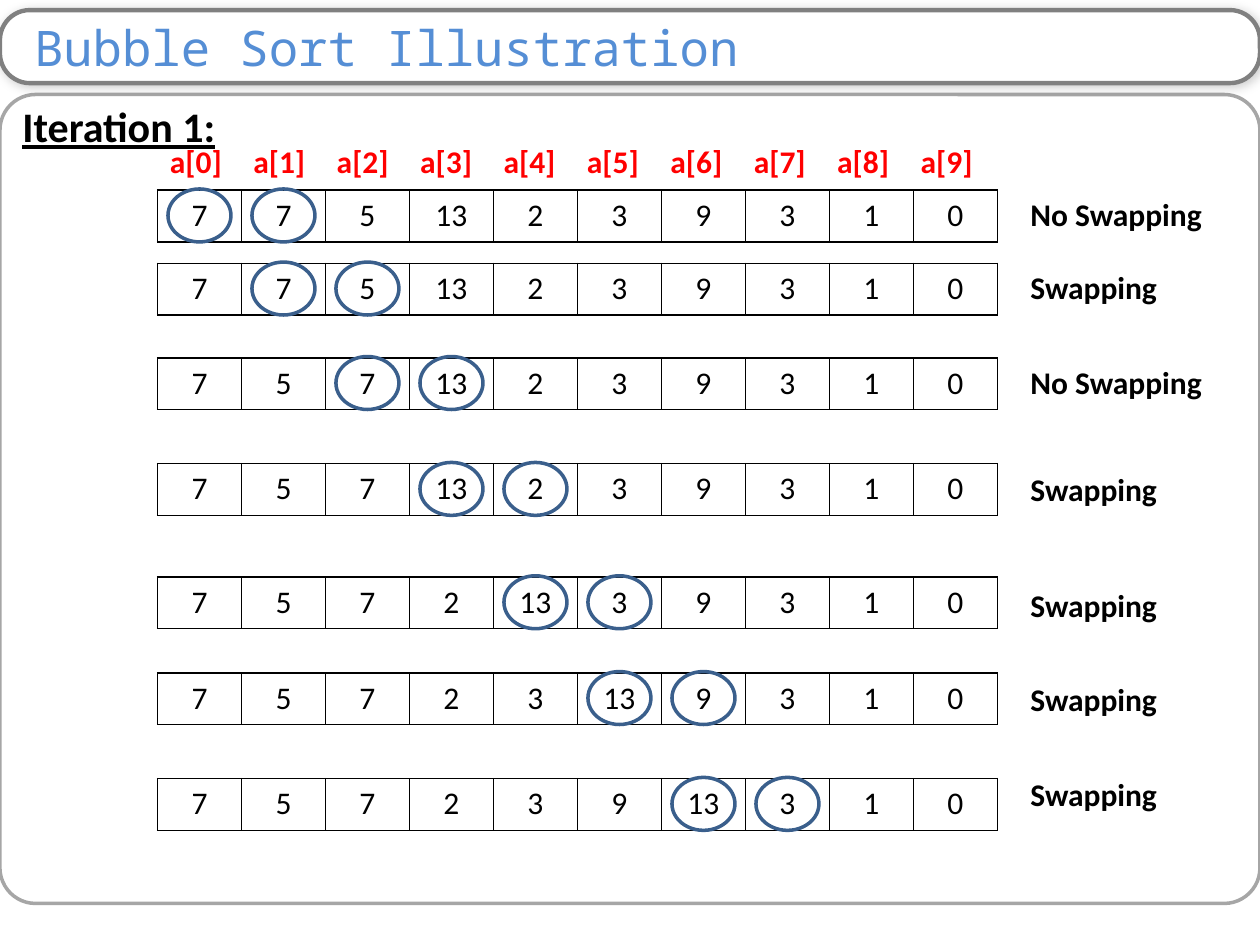
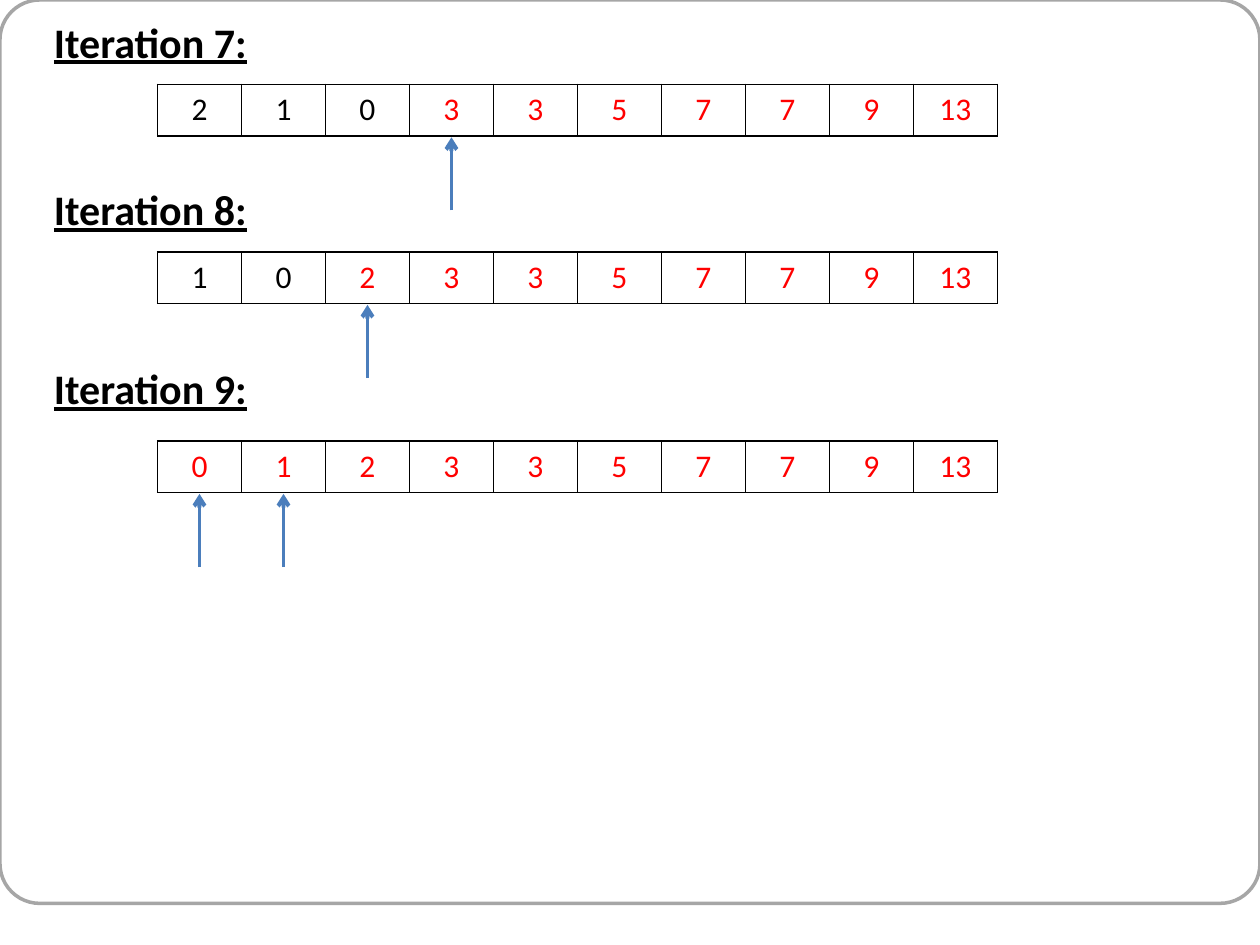
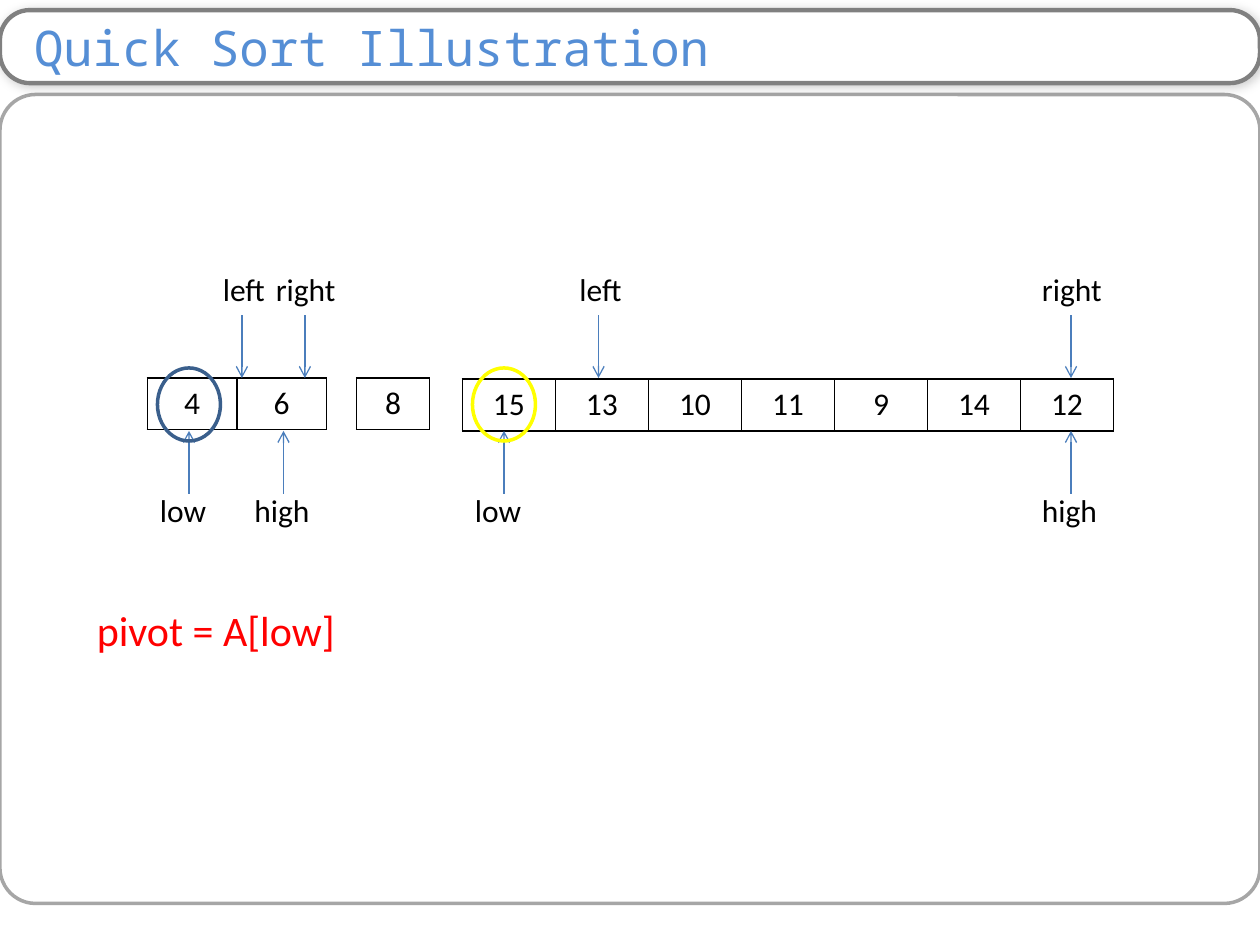
from lxml import etree
from pptx import Presentation
from pptx.dml.color import RGBColor
from pptx.enum import shapes, text
from pptx.oxml import ns
from pptx.util import Inches, Pt

COLORS = {
    "black": "000000", "white": "FFFFFF", "red": "FF0000", "yellow": "FFFF00",
    "title": "558ED5", "ring": "3A5F8C", "arrow": "4B7EBC",
    "panel": "A6A6A6", "band": "808080",
}
FONT, MONO = "Calibri", "Noto Sans Mono"
LEFT, WIDTH, HEIGHT = 1.25, 20 / 3, 0.41
STEP = WIDTH / 10


def color(name):
    """Return the named colour."""
    return RGBColor.from_string(COLORS[name])


def node(parent, tag, **attrs):
    """Append a drawing element to a parent."""
    return etree.SubElement(parent, ns.qn("a:" + tag), attrs)


def write(frame, words, size=18, font=FONT, fill="black", bold=False,
          under=False, align=text.PP_ALIGN.LEFT):
    """Write one formatted paragraph into a text frame."""
    para = frame.paragraphs[0]
    para.alignment = align
    run = para.add_run()
    run.text = words
    face = run.font
    face.size, face.name, face.bold, face.underline = Pt(size), font, bold, under
    face.color.rgb = color(fill)
    return para


def label(slide, words, x, y, w, h=0.4, **style):
    """Place a line of text and return its paragraph."""
    box = slide.shapes.add_textbox(Inches(x), Inches(y), Inches(w), Inches(h))
    box.text_frame.word_wrap = True
    return write(box.text_frame, words, **style)


def outline(slide, kind, x, y, w, h, line, weight=2):
    """Draw an unfilled preset shape."""
    shape = slide.shapes.add_shape(kind, Inches(x), Inches(y), Inches(w), Inches(h))
    shape.shadow.inherit = False
    shape.fill.background()
    shape.line.color.rgb = color(line)
    shape.line.width = Pt(weight)
    return shape


def panel(slide, top):
    """Draw the rounded frame from a top edge down to the shared bottom."""
    shape = outline(slide, shapes.MSO_SHAPE.ROUNDED_RECTANGLE,
                    0, top, 10, 7.17 - top, "panel")
    shape.adjustments[0] = 0.044


def header(slide, words):
    """Draw the shadowed title band and set the title on it."""
    x, y, w, h = 0, 0.08, 10, 0.58
    band = outline(slide, shapes.MSO_SHAPE.ROUNDED_RECTANGLE, x, y, w, h, "band", 2.5)
    band.adjustments[0] = 0.409
    band.fill.solid()
    band.fill.fore_color.rgb = color("white")
    effects = band.element.spPr.find(ns.qn("a:effectLst"))
    shade = node(effects, "outerShdw", blurRad=str(Pt(6)), dist=str(Pt(1)),
                 dir="2700000", rotWithShape="0")
    node(node(shade, "srgbClr", val=COLORS["black"]), "alpha", val="20000")
    title = slide.shapes.title
    title.left, title.top, title.width, title.height = map(Inches, (x, y, w, h))
    frame = title.text_frame
    frame.auto_size = text.MSO_AUTO_SIZE.NONE
    frame.vertical_anchor = text.MSO_ANCHOR.MIDDLE
    frame.margin_left, frame.margin_right = Inches(0.27), Inches(0.1)
    frame.margin_top = frame.margin_bottom = 0
    write(frame, words, size=28, font=MONO, fill="title")
    band.element.addnext(title.element)


def border(cell):
    """Give a clear cell thin black edges."""
    cell.fill.background()
    props = cell._tc.get_or_add_tcPr()
    for spot, side in enumerate(("lnL", "lnR", "lnT", "lnB")):
        edge = node(props, side, w=str(Pt(1)))
        node(node(edge, "solidFill"), "srgbClr", val=COLORS["black"])
        props.insert(spot, edge)


def array(slide, values, y, x=LEFT, w=WIDTH, done=None):
    """Draw an array as a one-row table, red from the index done on."""
    values = values.split()
    done = len(values) if done is None else done
    table = slide.shapes.add_table(1, len(values), Inches(x), Inches(y),
                                   Inches(w), Inches(HEIGHT)).table
    table.first_row = table.horz_banding = False
    for i, value in enumerate(values):
        table.columns[i].width = Inches(w / len(values))
        cell = table.cell(0, i)
        write(cell.text_frame, value, fill="red" if i >= done else "black",
              align=text.PP_ALIGN.CENTER)
        border(cell)


def ring(slide, x, y, h, line="ring"):
    """Circle a value around the centre x."""
    outline(slide, shapes.MSO_SHAPE.OVAL, x - 0.25, y, 0.5, h, line)


def arrow(slide, x, start, end, weight):
    """Draw a vertical arrow from start to end."""
    link = slide.shapes.add_connector(shapes.MSO_CONNECTOR.STRAIGHT, Inches(x),
                                      Inches(start), Inches(x), Inches(end))
    link.line.color.rgb = color("arrow")
    link.line.width = Pt(weight)
    props = link.element.spPr
    node(props.find(ns.qn("a:ln")), "tailEnd", type="arrow")
    node(props, "effectLst")


def center(i):
    """Return the centre of an array column."""
    return LEFT + (i + 0.5) * STEP


def index(slide, y):
    """Label the array columns at equal tab stops."""
    para = label(slide, "\t".join(f"a[{i}]" for i in range(10)), LEFT, y, WIDTH,
                 bold=True, fill="red")
    stops = node(para._p.get_or_add_pPr(), "tabLst")
    for i in range(1, 10):
        node(stops, "tab", pos=str(Inches(0.662 * i)), algn="l")


def marker(slide, word, x, shift=0.33):
    """Point at a value, from above for left and right, else from below."""
    above = word in ("left", "right")
    start, end = (2.5, 3) if above else (3.92, 3.42)
    arrow(slide, x, start, end, 0.75)
    label(slide, word, x - shift, 2.09 if above else 3.85, 0.75)


def bubble(slide):
    """Build the first pass of bubble sort."""
    panel(slide, 0.75)
    header(slide, "Bubble Sort Illustration")
    label(slide, "Iteration 1:", 0.08, 0.75, 1.75, 0.5, size=24, bold=True, under=True)
    index(slide, 1.08)
    steps = [
        ("7 7 5 13 2 3 9 3 1 0", 1.51, 1.5, "No Swapping"),
        ("7 7 5 13 2 3 9 3 1 0", 2.09, 2.08, "Swapping"),
        ("7 5 7 13 2 3 9 3 1 0", 2.84, 2.83, "No Swapping"),
        ("7 5 7 13 2 3 9 3 1 0", 3.68, 3.68, "Swapping"),
        ("7 5 7 2 13 3 9 3 1 0", 4.58, 4.6, "Swapping"),
        ("7 5 7 2 3 13 9 3 1 0", 5.34, 5.35, "Swapping"),
        ("7 5 7 2 3 9 13 3 1 0", 6.18, 6.1, "Swapping"),
    ]
    for i, (values, y, base, note) in enumerate(steps):
        array(slide, values, y)
        for spot in (i, i + 1):
            ring(slide, center(spot), y - 0.01, 0.42)
        label(slide, note, 8.08, base, 1.67, bold=True)


def passes(slide):
    """Build the last passes of bubble sort."""
    panel(slide, 0)
    rounds = [
        (7, 0.08, "2 1 0 3 3 5 7 7 9 13", 0.67, 3, [3]),
        (8, 1.41, "1 0 2 3 3 5 7 7 9 13", 2, 2, [2]),
        (9, 2.83, "0 1 2 3 3 5 7 7 9 13", 3.5, 0, [0, 1]),
    ]
    for count, top, values, y, done, spots in rounds:
        label(slide, f"Iteration {count}:", 0.33, top, 2.25, 0.5,
              size=24, bold=True, under=True)
        array(slide, values, y, done=done)
        for spot in spots:
            arrow(slide, center(spot), y + 1, y + 0.42, 2.25)


def quick(slide):
    """Build the split arrays of quick sort."""
    panel(slide, 0.75)
    header(slide, "Quick Sort Illustration")
    array(slide, "4 6", 3, 1.17, 1.42)
    array(slide, "8", 3, 2.83, 0.58)
    array(slide, "15 13 10 11 9 14 12", 3.01, 3.67, 5.17)
    for word, x in (("right", 2.42), ("right", 8.5), ("low", 1.5),
                    ("low", 4), ("high", 2.25), ("high", 8.5)):
        marker(slide, word, x)
    for x in (1.92, 4.75):
        marker(slide, "left", x, 0.25)
    label(slide, "pivot = A[low]", 0.67, 4.75, 2.67, 0.5, size=24, fill="red")
    ring(slide, 1.5, 2.92, 0.58)
    ring(slide, 4, 2.92, 0.58, "yellow")


def main():
    """Build and save the deck."""
    deck = Presentation()
    deck.slide_width, deck.slide_height = Inches(10), Inches(7.5)
    for build, layout in ((bubble, 5), (passes, 6), (quick, 5)):
        build(deck.slides.add_slide(deck.slide_layouts[layout]))
    deck.save("out.pptx")


main()
